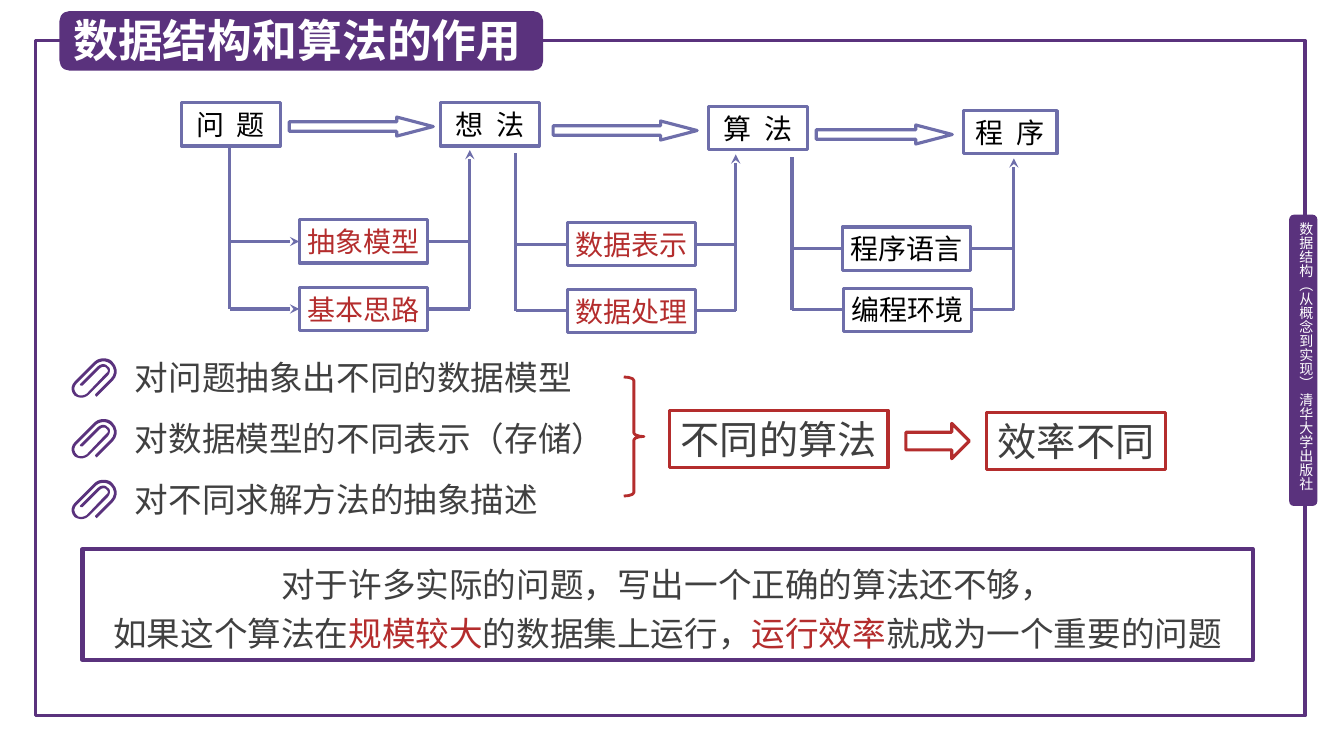
"""Build the slide on what data structures and algorithms are for."""
from lxml import etree
from pptx import Presentation
from pptx.dml.color import RGBColor
from pptx.enum import shapes, text
from pptx.oxml.ns import qn
from pptx.util import Cm, Pt

FONT = "Noto Sans CJK SC"
COLORS = {"purple": "5A327D", "slate": "6E6EAA", "red": "B42D2D",
          "gray": "404040", "black": "000000", "white": "FFFFFF"}
KIND = shapes.MSO_SHAPE
LEFT, CENTER = text.PP_ALIGN.LEFT, text.PP_ALIGN.CENTER

TITLE = "数据结构和算法的作用"
SPINE = "数据结构（从概念到实现） 清华大学出版社"
STAGES = [("问 题", 4.57, 2.59, 2.49), ("想 法", 11.1, 2.59, 2.49),
          ("算 法", 17.86, 2.69, 2.49), ("程 序", 24.28, 2.79, 2.36)]
STAGE_ARROWS = [(7.29, 2.95, 3.63), (13.94, 3.05, 3.63), (20.57, 3.15, 3.43)]
STEPS = [
    {"color": "red", "down": (5.79, 3.73), "up": (11.84, 3.78), "heads": True,
     "details": [("抽象模型", 7.54, 5.54), ("基本思路", 7.54, 7.24)]},
    {"color": "red", "down": (13.0, 3.86), "up": (18.54, 3.89), "heads": False,
     "details": [("数据表示", 14.3, 5.61), ("数据处理", 14.3, 7.29)]},
    {"color": "black", "down": (19.96, 3.96), "up": (25.55, 3.99), "heads": False,
     "details": [("程序语言", 21.23, 5.72), ("编程环境", 21.26, 7.26)]},
]
DETAIL_W, BOX_H = 3.23, 1.09
POINTS = ["对问题抽象出不同的数据模型", "对数据模型的不同表示（存储）", "对不同求解方法的抽象描述"]
POINTS_TOP, POINTS_PITCH = 8.87, 1.53
RESULTS = [("不同的算法", 16.87, 10.34, 5.51), ("效率不同", 24.87, 10.39, 4.5)]
SUMMARY = [
    [("对于许多实际的问题，写出一个正确的算法还不够，", "gray")],
    [("如果这个算法在", "gray"), ("规模较大", "red"), ("的数据集上运行，", "gray"),
     ("运行效率", "red"), ("就成为一个重要的问题", "gray")],
]
CLIP_UNIT = 0.0254
CLIP_START = (42, 4)
CLIP_OUTLINE = [
    (40, 1, 36, 0, 33, 0), (29, 0, 26, 1, 23, 4), (4, 23),
    (0, 27, 0, 33, 4, 37), (6, 38, 8, 39, 11, 39), (13, 39, 16, 38, 18, 36),
    (37, 17), (38, 16, 39, 14, 39, 12), (39, 11, 39, 9, 37, 8),
    (35, 5, 30, 5, 27, 8), (10, 25), (9, 26, 9, 26, 10, 27), (12, 27), (29, 10),
    (31, 8, 34, 8, 35, 9), (36, 10, 37, 11, 37, 12), (37, 14, 36, 14, 35, 15),
    (16, 35), (13, 37, 8, 38, 6, 35), (3, 32, 3, 28, 6, 25), (25, 6),
    (27, 4, 30, 3, 33, 3), (35, 3, 38, 4, 40, 6), (44, 10, 44, 16, 40, 20),
    (25, 35), (24, 36, 24, 37, 25, 37), (25, 37, 25, 38, 26, 38), (27, 37),
    (42, 22), (47, 17, 47, 9, 42, 4),
]

deck = Presentation()
deck.slide_width, deck.slide_height = Cm(33.87), Cm(19.05)
slide = deck.slides.add_slide(deck.slide_layouts[6])


def rgb(color):
    return RGBColor.from_string(COLORS[color])


def paint(shape, fill=None, line=None, weight=2.25):
    shape.shadow.inherit = False
    if fill:
        shape.fill.solid()
        shape.fill.fore_color.rgb = rgb(fill)
    else:
        shape.fill.background()
    if line:
        shape.line.color.rgb = rgb(line)
        shape.line.width = Pt(weight)
    else:
        shape.line.fill.background()
    return shape


def draw(kind, left, top, width, height, **style):
    shape = slide.shapes.add_shape(kind, Cm(left), Cm(top), Cm(width), Cm(height))
    return paint(shape, **style)


def label(left, top, width, height):
    return slide.shapes.add_textbox(Cm(left), Cm(top), Cm(width), Cm(height))


def write(shape, content, size=24, color="gray", bold=False, align=LEFT, anchor="TOP",
          insets=(0.25, 0.13), leading=None, tracking=None, vertical=False):
    frame = shape.text_frame
    frame.word_wrap = True
    frame.vertical_anchor = text.MSO_ANCHOR[anchor]
    frame.margin_left = frame.margin_right = Cm(insets[0])
    frame.margin_top = frame.margin_bottom = Cm(insets[1])
    if vertical:
        frame._txBody.bodyPr.set("vert", "eaVert")
    lines = [[(content, color)]] if isinstance(content, str) else content
    for number, line in enumerate(lines):
        paragraph = frame.add_paragraph() if number else frame.paragraphs[0]
        paragraph.alignment = align
        if leading:
            paragraph.line_spacing = Pt(leading)
        for words, shade in line:
            run = paragraph.add_run()
            run.text = words
            run.font.size, run.font.bold, run.font.name = Pt(size), bold, FONT
            run.font.color.rgb = rgb(shade)
            properties = run.font._element
            etree.SubElement(properties, qn("a:ea"), typeface=FONT)
            if tracking:
                properties.set("spc", str(tracking))


def connect(start, end, head=False, begin_at=None, end_at=None):
    line = slide.shapes.add_connector(shapes.MSO_CONNECTOR.STRAIGHT,
                                      *[Cm(value) for value in start + end])
    line.line.color.rgb = rgb("slate")
    line.line.width = Pt(2.25)
    if begin_at:
        line.begin_connect(*begin_at)
    if end_at:
        line.end_connect(*end_at)
    if head:
        etree.SubElement(line.line._get_or_add_ln(), qn("a:tailEnd"), type="stealth")
    etree.SubElement(line._element.spPr, qn("a:effectLst"))


def draw_clip(left, top):
    outline, here = [], CLIP_START
    for segment in CLIP_OUTLINE:
        if len(segment) == 2:
            outline.append(segment)
        else:
            corners = [here, segment[:2], segment[2:4], segment[4:]]
            for t in (0.2, 0.4, 0.6, 0.8, 1):
                weights = ((1 - t) ** 3, 3 * t * (1 - t) ** 2, 3 * t * t * (1 - t), t ** 3)
                outline.append(tuple(sum(w * corner[axis] for w, corner in zip(weights, corners))
                                     for axis in (0, 1)))
        here = segment[-2:]
    spots = [(Cm(left + x * CLIP_UNIT), Cm(top + y * CLIP_UNIT))
             for x, y in [CLIP_START] + outline]
    builder = slide.shapes.build_freeform(*spots[0])
    builder.add_line_segments(spots[1:], close=True)
    paint(builder.convert_to_shape(), fill="purple")


def draw_step(step):
    (down_x, down_top), (up_x, up_top) = step["down"], step["up"]
    for name, left, top in step["details"]:
        detail = draw(KIND.RECTANGLE, left, top, DETAIL_W, BOX_H, line="slate")
        write(detail, name, size=20, color=step["color"], align=CENTER, anchor="MIDDLE",
              insets=(0.15, 0.03))
        middle = top + BOX_H / 2
        connect((down_x, middle), (left, middle), head=step["heads"], end_at=(detail, 1))
        connect((left + DETAIL_W, middle), (up_x, middle), begin_at=(detail, 3))
    connect((down_x, down_top), (down_x, middle))
    connect((up_x, middle), (up_x, up_top), head=True)


def main():
    draw(KIND.RECTANGLE, 0.89, 1.02, 32, 17.02, line="purple")
    draw(KIND.ROUNDED_RECTANGLE, 32.49, 5.41, 0.71, 7.34, fill="purple")
    write(label(32.69, 5.61, 0.43, 7.14), SPINE, size=10, color="white", insets=(0, 0),
          vertical=True)
    draw(KIND.ROUNDED_RECTANGLE, 1.5, 0.28, 12.19, 1.5, fill="purple")
    write(label(1.6, 0.18, 12.24, 1.63), TITLE, size=32, color="white", bold=True)

    for name, left, top, width in STAGES:
        stage = draw(KIND.RECTANGLE, left, top, width, BOX_H, line="slate")
        write(stage, name, size=20, color="black", align=CENTER, anchor="MIDDLE",
              insets=(0.15, 0.03), tracking=220)
    for left, top, width in STAGE_ARROWS:
        arrow = draw(KIND.RIGHT_ARROW, left, top, width, 0.48, line="slate")
        arrow.adjustments[1] = 1.92
    for step in STEPS:
        draw_step(step)

    for number, point in enumerate(POINTS):
        top = POINTS_TOP + number * POINTS_PITCH
        draw_clip(1.78, top + 0.16)
        write(label(3.15, top, 14.1, 1.3), point)
    brace = draw(KIND.RIGHT_BRACE, 15.72, 9.5, 0.51, 3, line="red", weight=2)
    brace.adjustments[0] = 0.17
    for name, left, top, width in RESULTS:
        result = draw(KIND.RECTANGLE, left, top, width, 1.45, line="red")
        write(result, name, size=28, align=CENTER)
    draw(KIND.RIGHT_ARROW, 22.83, 10.67, 1.6, 0.89, line="red")

    summary = draw(KIND.RECTANGLE, 2.08, 13.84, 29.49, 2.79, line="purple", weight=3)
    write(summary, SUMMARY, align=CENTER, anchor="MIDDLE", leading=35)
    deck.save("out.pptx")


if __name__ == "__main__":
    main()
